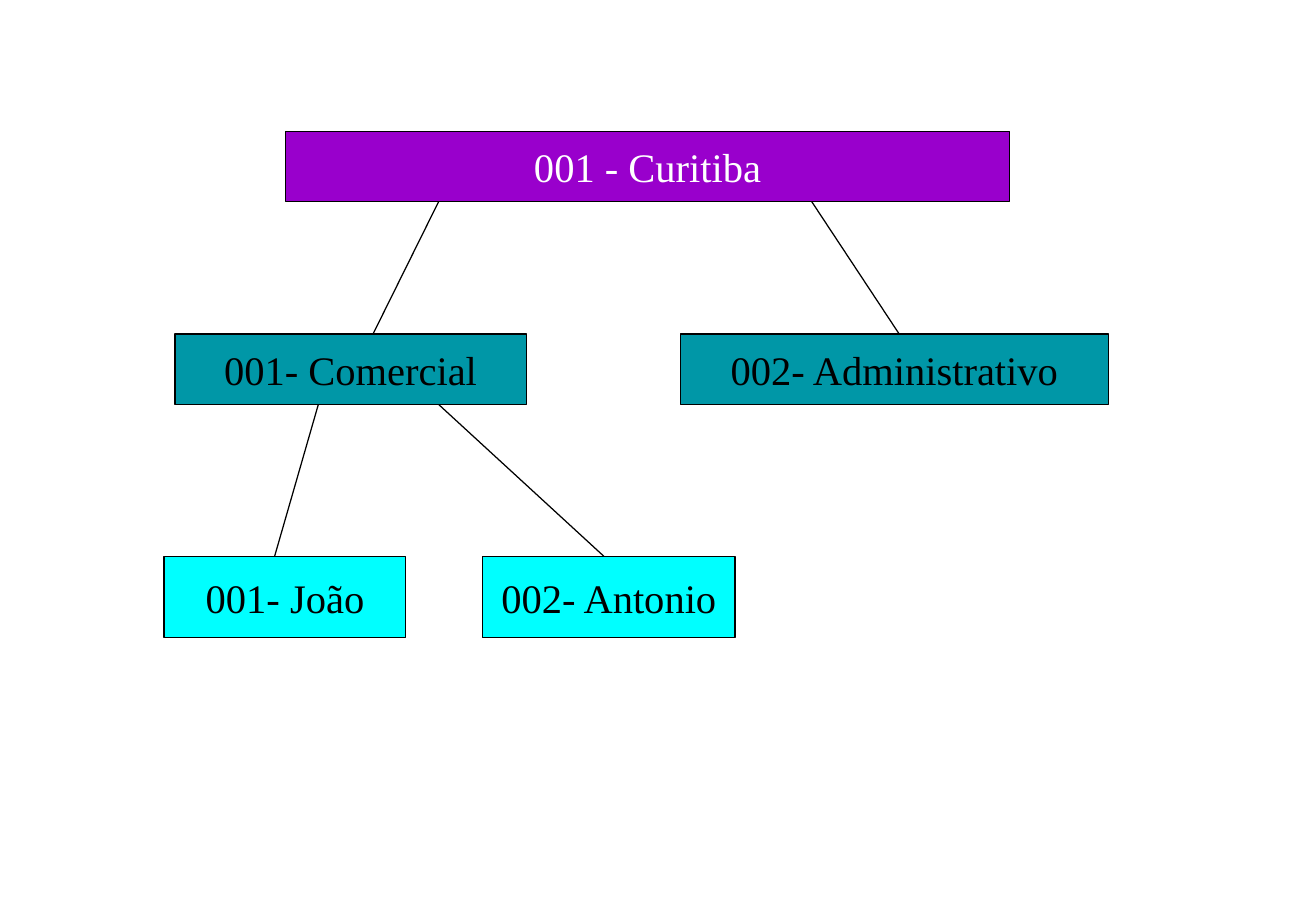
from pptx import Presentation
from pptx.dml.color import RGBColor
from pptx.enum.shapes import MSO_CONNECTOR, MSO_SHAPE
from pptx.enum.text import MSO_ANCHOR, PP_ALIGN
from pptx.oxml.ns import qn
from pptx.util import Pt
from lxml.etree import SubElement

PX = 9144  # EMU per px, 100 px to the inch
COLORS = {
    "branch": "9900CC",
    "department": "0097A7",
    "employee": "00FFFF",
    "black": "000000",
    "white": "FFFFFF",
}
# level: (top, height, text colour)
LEVELS = {
    "branch": (108, 58, "white"),
    "department": (275, 58, "black"),
    "employee": (458, 67, "black"),
}
# level, left, width, label
BOXES = [
    ("branch", 235, 596, "001 - Curitiba"),
    ("department", 144, 289, "001- Comercial"),
    ("department", 560, 352, "002- Administrativo"),
    ("employee", 135, 199, "001- João"),
    ("employee", 397, 208, "002- Antonio"),
]
# parent level, child level, x at the parent, x at the child
LINKS = [
    ("branch", "department", 361, 307),
    ("branch", "department", 668, 740),
    ("department", "employee", 262, 226),
    ("department", "employee", 361, 497),
]


def rgb(name):
    return RGBColor.from_string(COLORS[name])


def set_line(shape):
    shape.line.color.rgb = rgb("black")
    shape.line.width = Pt(0.75)


def add_box(s, level, left, width, label):
    top, height, text_color = LEVELS[level]
    sp = s.shapes.add_shape(
        MSO_SHAPE.RECTANGLE, left * PX, top * PX, width * PX, height * PX)
    sp.shadow.inherit = False
    sp.fill.solid()
    sp.fill.fore_color.rgb = rgb(level)
    set_line(sp)
    tf = sp.text_frame
    tf.word_wrap = True
    tf.vertical_anchor = MSO_ANCHOR.MIDDLE
    tf.text = label
    p = tf.paragraphs[0]
    p.alignment = PP_ALIGN.CENTER
    font = p.runs[0].font
    font.name = "Times New Roman"
    font.size = Pt(24)
    font.color.rgb = rgb(text_color)


def add_link(s, parent, child, x1, x2):
    """Join the bottom edge of the parent level to the top edge of the child level."""
    top, height, _ = LEVELS[parent]
    line = s.shapes.add_connector(
        MSO_CONNECTOR.STRAIGHT, x1 * PX, (top + height) * PX, x2 * PX, LEVELS[child][0] * PX)
    set_line(line)
    SubElement(line._element.spPr, qn("a:effectLst"))


def main():
    prs = Presentation()
    prs.slide_width = 1083 * PX
    prs.slide_height = 750 * PX
    s = prs.slides.add_slide(prs.slide_layouts[6])
    for box in BOXES:
        add_box(s, *box)
    for link in LINKS:
        add_link(s, *link)
    prs.save("out.pptx")


if __name__ == "__main__":
    main()
